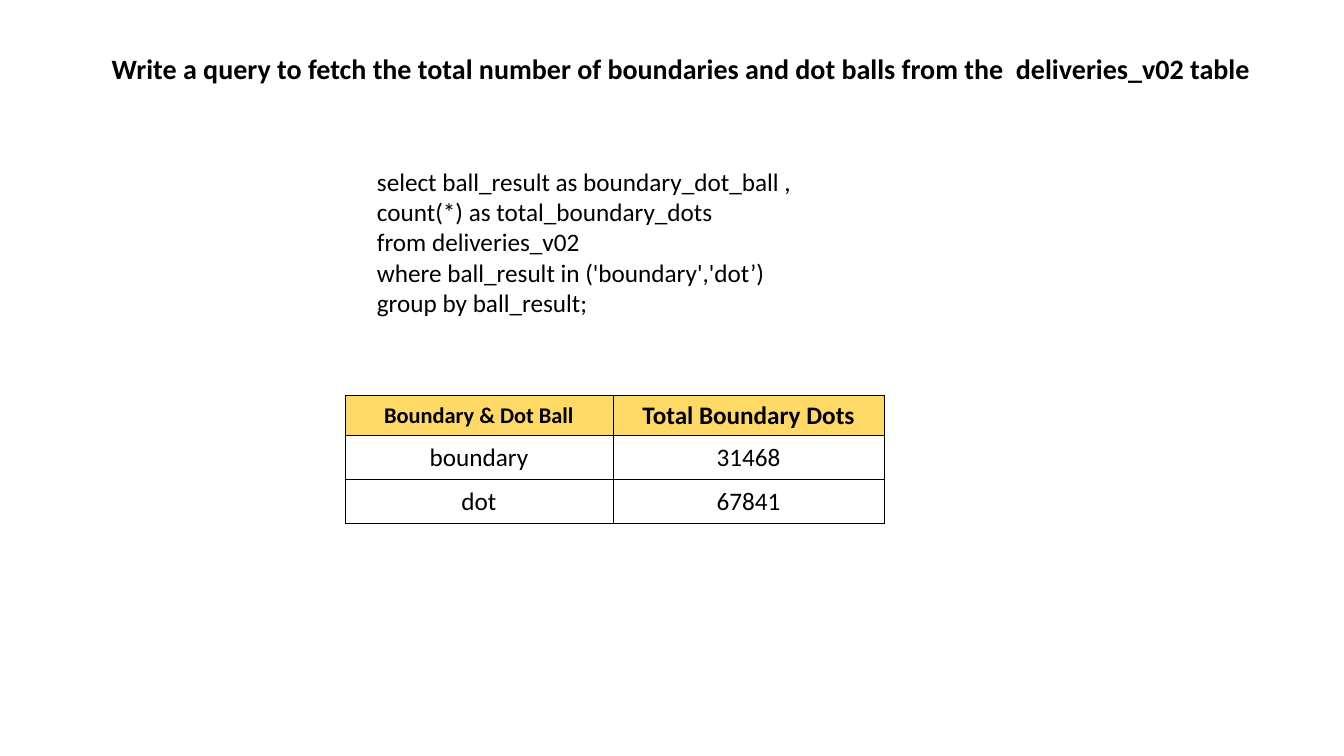
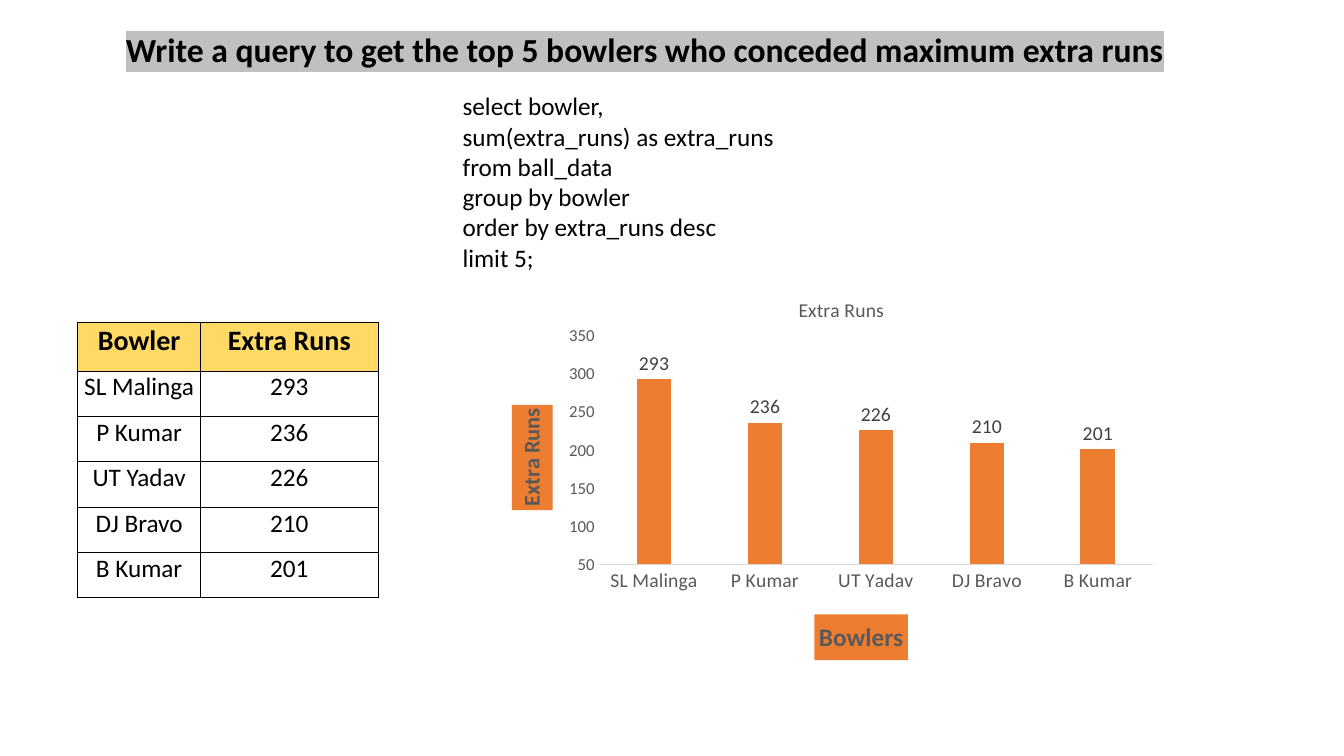
from lxml.etree import SubElement
from pptx import Presentation
from pptx.chart.data import CategoryChartData
from pptx.dml.color import RGBColor
from pptx.enum.chart import XL_CHART_TYPE, XL_LABEL_POSITION, XL_TICK_MARK
from pptx.enum.text import MSO_ANCHOR, PP_ALIGN
from pptx.oxml.ns import qn
from pptx.util import Inches, Pt

FONT = "Calibri"
BLACK = RGBColor(0x00, 0x00, 0x00)
SILVER = RGBColor(0xC0, 0xC0, 0xC0)
GOLD = RGBColor(0xFF, 0xD9, 0x66)
ORANGE = RGBColor(0xED, 0x7D, 0x31)
AXIS_GREY = RGBColor(0x59, 0x59, 0x59)
LABEL_GREY = RGBColor(0x40, 0x40, 0x40)
LINE_GREY = RGBColor(0xD9, 0xD9, 0xD9)


def write(frame, *lines, size=18, bold=False, color=BLACK, align=None, highlight=None):
    """Put each line in a paragraph of its own, all in one format."""
    for number, line in enumerate(lines):
        paragraph = frame.add_paragraph() if number else frame.paragraphs[0]
        paragraph.alignment = align
        run = paragraph.add_run()
        run.text = line
        run.font.size = Pt(size)
        run.font.bold = bold
        run.font.color.rgb = color
        if highlight is not None:
            mark = SubElement(run.font._element, qn("a:highlight"))
            SubElement(mark, qn("a:srgbClr"), val=str(highlight))
        run.font.name = FONT


def place(part, index, **settings):
    """Give a chart part a manual layout, in fractions of the chart."""
    for old in part.findall(qn("c:layout")):
        part.remove(old)
    layout = SubElement(part, qn("c:layout"))
    manual = SubElement(layout, qn("c:manualLayout"))
    for name, value in settings.items():
        SubElement(manual, qn(f"c:{name}"), val=str(value))
    part.insert(index, layout)


EXTRA_RUNS = [("SL Malinga", 293), ("P Kumar", 236), ("UT Yadav", 226),
              ("DJ Bravo", 210), ("B Kumar", 201)]

PAGES = [
    {
        "title": "Write a query to fetch the total number of boundaries and dot balls "
                 "from the  deliveries_v02 table",
        "title_box": (1.01, 0.46, 11.62, 0.44),
        "title_format": {"size": 20},
        "query": ["select ball_result as boundary_dot_ball ,",
                  "count(*) as total_boundary_dots",
                  "from deliveries_v02",
                  "where ball_result in ('boundary','dot’)",
                  "group by ball_result;"],
        "query_box": (3.64, 1.6, 7.43, 1.62),
        "rows": [("Boundary & Dot Ball", "Total Boundary Dots"),
                 ("boundary", 31468), ("dot", 67841)],
        "table_at": (3.42, 3.92),
        "widths": (2.66, 2.69),
        "heights": (0.4, 0.435),
        "header_sizes": (16, 18),
        "anchor": MSO_ANCHOR.MIDDLE,
    },
    {
        "title": "Write a query to get the top 5 bowlers who conceded maximum extra runs",
        "title_box": (1.15, 0.24, 11.35, 0.5),
        "title_format": {"size": 24, "highlight": SILVER},
        "query": ["select bowler,",
                  "sum(extra_runs) as extra_runs",
                  "from ball_data",
                  "group by bowler",
                  "order by extra_runs desc",
                  "limit 5;"],
        "query_box": (4.49, 0.85, 6.67, 1.92),
        "rows": [("Bowler", "Extra Runs"), *EXTRA_RUNS],
        "table_at": (0.77, 3.2),
        "widths": (1.22, 1.76),
        "heights": (0.48, 0.45),
        "header_sizes": (20, 20),
        "anchor": MSO_ANCHOR.TOP,
    },
]

prs = Presentation()
prs.slide_width = Inches(13.33)
prs.slide_height = Inches(7.5)

for page in PAGES:
    slide = prs.slides.add_slide(prs.slide_layouts[6])
    for box, lines, text_format in (
        (page["title_box"], [page["title"]], {"bold": True, **page["title_format"]}),
        (page["query_box"], page["query"], {}),
    ):
        frame = slide.shapes.add_textbox(*map(Inches, box)).text_frame
        frame.word_wrap = True
        write(frame, *lines, **text_format)

    rows, widths = page["rows"], page["widths"]
    header_height, body_height = page["heights"]
    table_height = header_height + body_height * (len(rows) - 1)
    table = slide.shapes.add_table(
        len(rows), len(widths), *map(Inches, page["table_at"]),
        Inches(sum(widths)), Inches(table_height)).table
    table.first_row = table.horz_banding = False
    for column, width in zip(table.columns, widths):
        column.width = Inches(width)
    for r, values in enumerate(rows):
        is_header = r == 0
        table.rows[r].height = Inches(header_height if is_header else body_height)
        for c, value in enumerate(values):
            cell = table.cell(r, c)
            cell.margin_left = cell.margin_right = cell.margin_top = Inches(0.01)
            cell.margin_bottom = 0
            cell.vertical_anchor = page["anchor"]
            for side in ("lnL", "lnR", "lnT", "lnB"):
                border = SubElement(cell._tc.get_or_add_tcPr(), qn(f"a:{side}"), w=str(Pt(0.5)))
                border_fill = SubElement(border, qn("a:solidFill"))
                SubElement(border_fill, qn("a:srgbClr"), val=str(BLACK))
            if is_header:
                cell.fill.solid()
                cell.fill.fore_color.rgb = GOLD
            else:
                cell.fill.background()
            write(cell.text_frame, str(value), align=PP_ALIGN.CENTER, bold=is_header,
                  size=page["header_sizes"][c] if is_header else 18,
                  highlight=GOLD if is_header else None)

# Chart of extra runs, on the last slide
runs_data = CategoryChartData()
runs_data.categories = [bowler for bowler, _ in EXTRA_RUNS]
runs_data.add_series("Extra Runs", [runs for _, runs in EXTRA_RUNS])
chart = slide.shapes.add_chart(
    XL_CHART_TYPE.COLUMN_CLUSTERED, Inches(5.01), Inches(2.77),
    Inches(6.67), Inches(3.78), runs_data).chart
chart.font.name = FONT
chart.font.size = Pt(10)
chart.font.color.rgb = BLACK
chart.has_legend = False
chart.has_title = True
write(chart.chart_title.text_frame, "Extra Runs", size=14, color=AXIS_GREY)
place(chart._chartSpace.chart.plotArea, 0, layoutTarget="inner", xMode="edge", yMode="edge",
      x=0.139, y=0.149, w=0.825, h=0.6)

plot = chart.plots[0]
plot.gap_width = 219
plot.overlap = -27
plot.vary_by_categories = False
columns = plot.series[0]
columns.format.fill.solid()
columns.format.fill.fore_color.rgb = ORANGE
labels = columns.data_labels
labels.show_value = True
labels.position = XL_LABEL_POSITION.OUTSIDE_END
labels.font.name = FONT
labels.font.size = Pt(14)
labels.font.color.rgb = LABEL_GREY

bowler_axis, runs_axis = chart.category_axis, chart.value_axis
for axis, name, name_size, tick_size, x, y in (
    (bowler_axis, "Bowlers", 18, 14, 0.46, 0.88),
    (runs_axis, "Extra Runs", 16, 12, 0.01, 0.33),
):
    axis.has_major_gridlines = False
    axis.major_tick_mark = axis.minor_tick_mark = XL_TICK_MARK.NONE
    axis.tick_labels.font.name = FONT
    axis.tick_labels.font.size = Pt(tick_size)
    axis.tick_labels.font.color.rgb = AXIS_GREY
    axis_title = axis.axis_title
    write(axis_title.text_frame, name, size=name_size, bold=True, color=AXIS_GREY)
    axis_title.format.fill.solid()
    axis_title.format.fill.fore_color.rgb = ORANGE
    place(axis_title._element, 1, xMode="edge", yMode="edge", x=x, y=y)

bowler_axis.format.line.color.rgb = LINE_GREY
bowler_axis.format.line.width = Pt(0.75)
runs_axis.format.line.fill.background()
runs_axis.minimum_scale = 50
runs_axis.maximum_scale = 350
runs_axis.major_unit = 50
runs_axis.axis_title.text_frame._txBody.bodyPr.set("rot", "-5400000")

prs.save("out.pptx")
